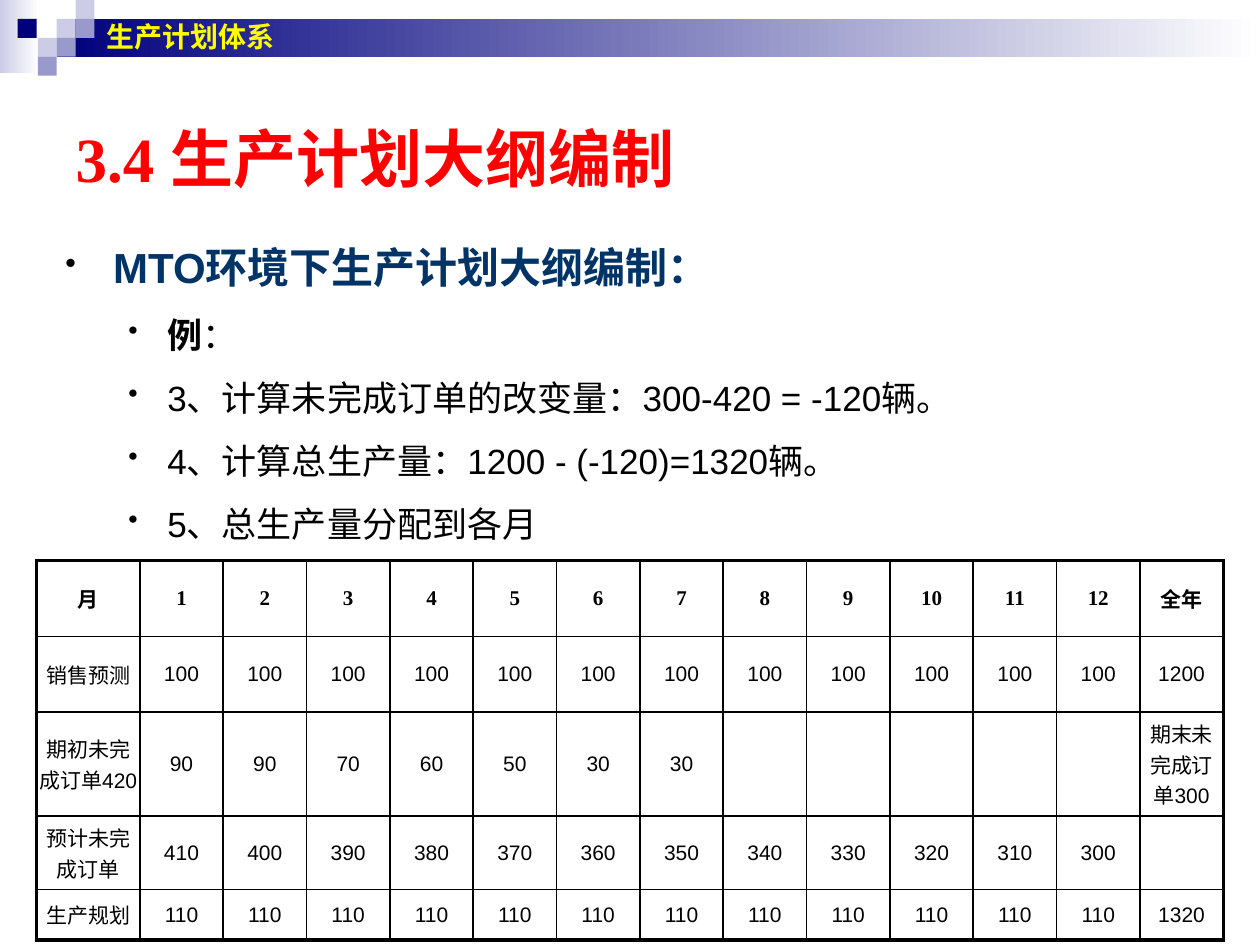
from dataclasses import dataclass

import pptx
import pptx.dml.color
import pptx.enum.shapes
import pptx.enum.text
import pptx.oxml
import pptx.oxml.ns
import pptx.util

Inches, Pt = pptx.util.Inches, pptx.util.Pt
MIDDLE = pptx.enum.text.MSO_ANCHOR.MIDDLE
TOP = pptx.enum.text.MSO_ANCHOR.TOP
ALIGN = pptx.enum.text.PP_ALIGN

COLORS = {"navy": "00007D", "lilac": "CCCCE6", "violet": "9999CC", "white": "FFFFFF",
          "black": "000000", "heading": "003366", "red": "FF0000", "yellow": "FFFF00"}


@dataclass
class Block:
    left: float
    top: float
    width: float
    height: float
    color: str
    fade: bool = False


@dataclass
class Bullet:
    phrases: list[tuple[str, bool]]
    size: int = 20
    color: str = "black"
    margin: float = 0.81
    hang: float = 0.31
    level: int = 1
    bullet_pct: int = 80


SQ = 0.15
BLOCKS = [
    Block(0, 0, 0.31, 0.58, "lilac", True),
    Block(0.45, 0.15, 9.55, 0.3, "navy", True),
    Block(0.45, 0.15, SQ, SQ, "lilac"),
    Block(0.6, 0, SQ, SQ, "lilac"),
    Block(0.6, 0.15, SQ, SQ, "violet"),
    Block(0.3, 0.3, SQ, SQ, "lilac"),
    Block(0.14, 0.15, SQ, SQ, "navy"),
    Block(0.45, 0.3, SQ, SQ, "violet"),
    Block(0.3, 0.45, SQ, SQ, "violet"),
]

BULLETS = [
    Bullet([("MTO环境下生产计划大纲编制：", True)], 24, "heading", 0.38, 0.38, 0, 75),
    Bullet([("例", True), ("：", False)]),
    Bullet([("3、计算未完成订单的改变量：300-420 = -120辆。", False)]),
    Bullet([("4、计算总生产量：1200 - (-120)=1320辆。", False)]),
    Bullet([("5、总生产量分配到各月", False)]),
]

ROW_HEIGHTS = [0.6, 0.6, 0.7, 0.5, 0.4]
ROWS = [
    ["月", *range(1, 13), "全年"],
    ["销售预测", *[100] * 12, 1200],
    ["期初未完成订单420", 90, 90, 70, 60, 50, 30, 30, *[""] * 5, "期末未完成订单300"],
    ["预计未完成订单", *range(410, 299, -10), ""],
    ["生产规划", *[110] * 12, 1320],
]


def rgb(name: str) -> pptx.dml.color.RGBColor:
    return pptx.dml.color.RGBColor.from_string(COLORS[name])


def format_font(font, size: float, color: str, bold: bool, name: str = "Arial") -> None:
    font.size, font.bold, font.name = Pt(size), bold, name
    font.color.rgb = rgb(color)


def add_xml(parent, xml: str) -> None:
    ns = pptx.oxml.ns.nsdecls("a")
    parent.append(pptx.oxml.parse_xml(xml.replace(">", f" {ns}>", 1)))


def add_block(s, block: Block) -> None:
    sp = s.shapes.add_shape(pptx.enum.shapes.MSO_SHAPE.RECTANGLE, Inches(block.left),
                            Inches(block.top), Inches(block.width), Inches(block.height))
    sp.shadow.inherit = False
    sp.line.fill.background()
    if block.fade:
        sp.fill.gradient()
        sp.fill.gradient_angle = 0
        for stop, color in zip(sp.fill.gradient_stops, (block.color, "white")):
            stop.color.rgb = rgb(color)
    else:
        sp.fill.solid()
        sp.fill.fore_color.rgb = rgb(block.color)


def place(sp, left: float, top: float, width: float, height: float, anchor):
    sp.left, sp.top = Inches(left), Inches(top)
    sp.width, sp.height = Inches(width), Inches(height)
    tf = sp.text_frame
    tf.word_wrap = True
    tf.auto_size = pptx.enum.text.MSO_AUTO_SIZE.NONE
    tf.vertical_anchor = anchor
    return tf


def add_bullet(p, item: Bullet) -> None:
    p.level = item.level
    p.line_spacing = 1.5
    pPr = p._p.get_or_add_pPr()
    pPr.set("marL", str(Inches(item.margin)))
    pPr.set("indent", str(-Inches(item.hang)))
    add_xml(pPr, f'<a:buClr><a:srgbClr val="{COLORS["black"]}"/></a:buClr>')
    add_xml(pPr, f'<a:buSzPct val="{item.bullet_pct * 1000}"></a:buSzPct>')
    add_xml(pPr, '<a:buChar char="•"></a:buChar>')
    for text, bold in item.phrases:
        r = p.add_run()
        r.text = text
        format_font(r.font, item.size, item.color, bold)


def set_borders(cell, widths: dict[str, float]) -> None:
    for side, width in widths.items():
        add_xml(cell._tc.get_or_add_tcPr(),
                f'<a:ln{side} w="{Pt(width)}"><a:solidFill>'
                f'<a:srgbClr val="{COLORS["black"]}"/></a:solidFill></a:ln{side}>')


def add_plan_table(s) -> None:
    n_rows, n_cols = len(ROWS), len(ROWS[0])
    width, label_width = 9.42, 0.82
    table = s.shapes.add_table(n_rows, n_cols, Inches(0.29), Inches(4.45),
                               Inches(width), Inches(sum(ROW_HEIGHTS))).table
    table.first_row = table.horz_banding = False
    for j, column in enumerate(table.columns):
        column.width = Inches(label_width if j == 0 else (width - label_width) / (n_cols - 1))
    for i, values in enumerate(ROWS):
        table.rows[i].height = Inches(ROW_HEIGHTS[i])
        for j, value in enumerate(values):
            cell = table.cell(i, j)
            # Thick outer frame, thin inner grid
            edges = {"L": j == 0, "R": j == n_cols - 1, "T": i == 0, "B": i == n_rows - 1}
            set_borders(cell, {side: 2.25 if outer else 1 for side, outer in edges.items()})
            cell.fill.background()
            cell.vertical_anchor = MIDDLE
            side_margin = 0 if i > 0 and j in (0, n_cols - 1) else 0.1
            cell.margin_left = cell.margin_right = Inches(side_margin)
            cell.margin_top = cell.margin_bottom = Inches(0.05)
            cell.text_frame.text = str(value)
            p = cell.text_frame.paragraphs[0]
            p.alignment = ALIGN.CENTER
            for r in p.runs:
                format_font(r.font, 12, "black", i == 0,
                            "Times New Roman" if i == 0 else "Arial")


def main() -> None:
    prs = pptx.Presentation()
    prs.slide_width, prs.slide_height = Inches(10), Inches(7.5)
    s = prs.slides.add_slide(prs.slide_layouts[5])

    # Header band and squares
    for block in BLOCKS:
        add_block(s, block)

    # Bulleted text
    tf = place(s.shapes.add_textbox(0, 0, 0, 0), 0.42, 1.67, 9.33, 5.58, TOP)
    for i, item in enumerate(BULLETS):
        add_bullet(tf.add_paragraph() if i else tf.paragraphs[0], item)

    # Title and section name
    title = place(s.shapes.title, 0.5, 0.5, 9, 1.5, MIDDLE)
    section = place(s.shapes.add_textbox(0, 0, 0, 0), 0.75, 0, 8.83, 0.58, MIDDLE)
    for tf, text, size, color, font in (
            (title, "3.4 生产计划大纲编制", 36, "red", "Times New Roman"),
            (section, "生产计划体系", 16, "yellow", "Arial")):
        tf.text = text
        p = tf.paragraphs[0]
        p.alignment = ALIGN.LEFT
        format_font(p.runs[0].font, size, color, True, font)

    # Production plan by month
    add_plan_table(s)
    prs.save("out.pptx")


if __name__ == "__main__":
    main()
